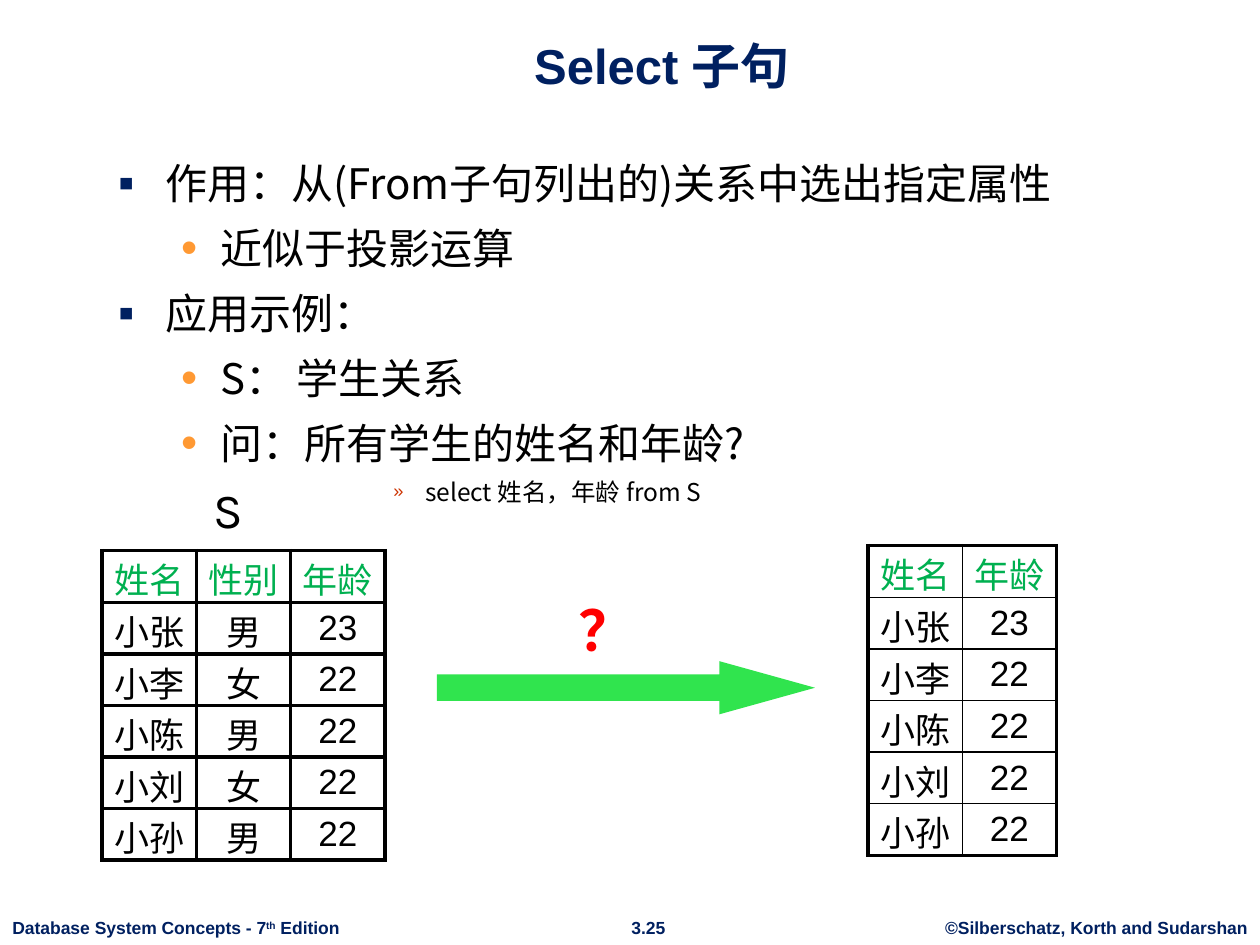
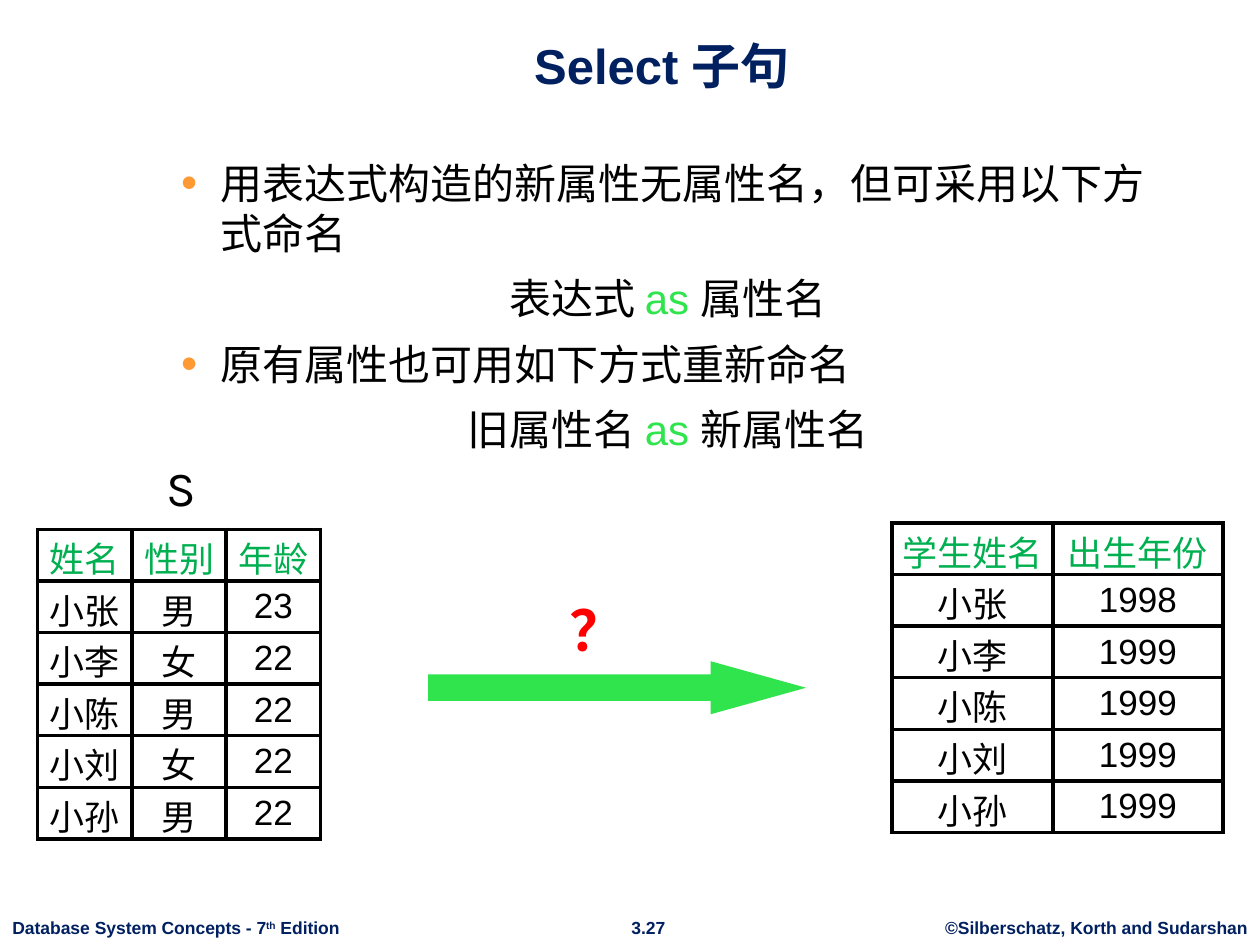
from lxml.etree import SubElement
from pptx import Presentation
from pptx.dml.color import RGBColor
from pptx.enum.shapes import MSO_SHAPE
from pptx.enum.text import MSO_ANCHOR, PP_ALIGN
from pptx.oxml.ns import qn
from pptx.util import Cm, Pt

COLORS = {
    "navy": "002060", "black": "000000", "white": "FFFFFF", "red": "FF0000",
    "header": "00B050", "lime": "30E44E", "orange": "FF9933", "rust": "CC3300",
}
CJK_FONT = "Noto Sans CJK SC"

# Outline levels: left margin and hanging indent in cm, bullet, colour, size in percent
LEVELS = {
    0: (0.95, 0.95, "▪", "navy", 110),
    1: (2.06, 0.79, "•", "orange", 110),
    5: (6.19, 0.64, "»", "rust", 75),
}
STUDENTS = [
    ("姓名", "性别", "年龄"),
    ("小张", "男", "23"),
    ("小李", "女", "22"),
    ("小陈", "男", "22"),
    ("小刘", "女", "22"),
    ("小孙", "男", "22"),
]
NAMES_AND_AGES = [(name, age) for name, _, age in STUDENTS]
BIRTH_YEARS = [("学生姓名", "出生年份")] + [
    (name, str(2021 - int(age))) for name, _, age in STUDENTS[1:]]


def rgb(color):
    return RGBColor.from_string(COLORS[color])


def format_run(run, size, color, font="Arial", bold=False):
    run.font.size = Pt(size)
    run.font.bold = bold
    run.font.color.rgb = rgb(color)
    run.font.name = font
    SubElement(run.font._element, qn("a:ea"), typeface=CJK_FONT)


def add_text(slide, box, pieces, size, color, font="Arial", bold=False,
             align=PP_ALIGN.LEFT, anchor=MSO_ANCHOR.TOP, wrap=False):
    """Add one paragraph made of pieces; return it."""
    shape = slide.shapes.add_textbox(*map(Cm, box))
    text_frame = shape.text_frame
    text_frame.word_wrap = wrap
    text_frame.vertical_anchor = anchor
    paragraph = text_frame.paragraphs[0]
    paragraph.alignment = align
    for piece in pieces:
        run = paragraph.add_run()
        run.text = piece
        format_run(run, size, color, font, bold)
    return paragraph


def add_frame(slide, number):
    """Title and footer shared by all slides."""
    add_text(slide, (2.13, 0.33, 22.43, 1.7), ["Select 子句"], 28, "navy", bold=True,
             align=PP_ALIGN.CENTER, anchor=MSO_ANCHOR.BOTTOM, wrap=True)
    footer = {"size": 10, "color": "navy", "bold": True}
    edition = add_text(slide, (0, 18.36, 7.14, 0.69),
                       ["Database System Concepts - 7", "th", " Edition"], **footer)
    edition.runs[1].font._element.set("baseline", "30000")
    add_text(slide, (12.45, 18.36, 1.24, 0.69), [number], align=PP_ALIGN.CENTER, **footer)
    add_text(slide, (18.8, 18.36, 6.6, 0.69), ["©Silberschatz, Korth and Sudarshan"],
             align=PP_ALIGN.CENTER, **footer)


def set_level(paragraph, level, bulleted):
    margin, hanging, character, color, percent = LEVELS[level]
    paragraph.level = level
    properties = paragraph._p.get_or_add_pPr()
    properties.set("marL", str(Cm(margin)))
    properties.set("indent", str(-Cm(hanging)))
    if not bulleted:
        SubElement(properties, qn("a:buNone"))
        return
    bullet_color = SubElement(properties, qn("a:buClr"))
    SubElement(bullet_color, qn("a:srgbClr"), val=COLORS[color])
    SubElement(properties, qn("a:buSzPct"), val=str(percent * 1000))
    SubElement(properties, qn("a:buFont"), typeface="Arial")
    SubElement(properties, qn("a:buChar"), char=character)


def add_outline(slide, items, font):
    """Items are (level, size, pieces); several pieces form a centred line with a keyword."""
    shape = slide.shapes.add_textbox(Cm(2.13), Cm(3.05), Cm(21.41), Cm(13.61))
    text_frame = shape.text_frame
    text_frame.word_wrap = True
    for index, (level, size, pieces) in enumerate(items):
        paragraph = text_frame.add_paragraph() if index else text_frame.paragraphs[0]
        is_syntax = len(pieces) > 1
        if is_syntax:
            paragraph.alignment = PP_ALIGN.CENTER
        if index:
            paragraph.space_before = Pt(0.35 * size)
        set_level(paragraph, level, not is_syntax)
        for piece in pieces:
            run = paragraph.add_run()
            run.text = piece
            format_run(run, size, "lime" if piece == "as " else "black", font)


def set_borders(cell, widths):
    properties = cell._tc.get_or_add_tcPr()
    for index, (side, width) in enumerate(widths.items()):
        line = properties.makeelement(qn(f"a:ln{side}"), {"w": str(Pt(width))})
        fill = SubElement(line, qn("a:solidFill"))
        SubElement(fill, qn("a:srgbClr"), val=COLORS["black"])
        properties.insert(index, line)


def add_relation(slide, left, top, rows, column_widths, padding=0, inner=2.25, outer=2.25):
    """Relation table with a green header row."""
    row_height = 1.04
    last_row, last_column = len(rows) - 1, len(column_widths) - 1
    frame = slide.shapes.add_table(len(rows), len(column_widths), Cm(left), Cm(top),
                                   Cm(sum(column_widths)), Cm(row_height * len(rows)))
    table = frame.table
    for column, width in zip(table.columns, column_widths):
        column.width = Cm(width)
    for r, values in enumerate(rows):
        table.rows[r].height = Cm(row_height)
        for c, value in enumerate(values):
            cell = table.cell(r, c)
            cell.fill.solid()
            cell.fill.fore_color.rgb = rgb("white")
            cell.margin_left = cell.margin_right = Cm(padding)
            cell.margin_top = cell.margin_bottom = Cm(0.05)
            cell.vertical_anchor = MSO_ANCHOR.MIDDLE
            paragraph = cell.text_frame.paragraphs[0]
            paragraph.text = value
            paragraph.alignment = PP_ALIGN.CENTER
            format_run(paragraph.runs[0], 20, "black" if r else "header")
            at_edge = {"L": c == 0, "R": c == last_column, "T": r == 0, "B": r == last_row}
            set_borders(cell, {side: outer if edge else inner
                               for side, edge in at_edge.items()})


def add_query_arrow(slide, left, top):
    """Green arrow with a question mark above it."""
    arrow = slide.shapes.add_shape(MSO_SHAPE.RIGHT_ARROW, Cm(left), Cm(top + 1.65),
                                   Cm(7.62), Cm(1.07))
    arrow.adjustments[0] = 0.5
    arrow.adjustments[1] = 1.8
    arrow.shadow.inherit = False
    arrow.fill.solid()
    arrow.fill.fore_color.rgb = rgb("lime")
    arrow.line.fill.background()
    mark = add_text(slide, (left + 2.59, top, 1.65, 1.65), ["？"], 32, "red", "Karla",
                    bold=True, align=PP_ALIGN.CENTER)
    mark.line_spacing = 1.15


def add_relation_name(slide, left, top):
    add_text(slide, (left, top, 1.07, 1.45), ["S"], 28, "black", "Karla")


def build_projection_slide(slide):
    add_frame(slide, "3.25")
    add_outline(slide, [
        (0, 24, ["作用：从(From子句列出的)关系中选出指定属性"]),
        (1, 24, ["近似于投影运算"]),
        (0, 24, ["应用示例："]),
        (1, 24, ["S： 学生关系"]),
        (1, 24, ["问：所有学生的姓名和年龄?"]),
        (5, 14, ["select 姓名，年龄 from S"]),
    ], CJK_FONT)
    add_relation(slide, 2.06, 11.1, STUDENTS, [1.9] * 3, padding=0.1)
    add_relation(slide, 17.5, 11, NAMES_AND_AGES, [1.9] * 2, padding=0.1, inner=1)
    add_relation_name(slide, 4.06, 9.55)
    add_query_arrow(slide, 8.81, 11.68)


def build_renaming_slide(slide):
    add_frame(slide, "3.27")
    add_outline(slide, [
        (1, 24, ["用表达式构造的新属性无属性名，但可采用以下方式命名"]),
        (1, 24, ["表达式 ", "as ", "属性名"]),
        (1, 24, ["原有属性也可用如下方式重新命名"]),
        (1, 24, ["旧属性名 ", "as ", "新属性名"]),
    ], "Arial")
    add_relation(slide, 0.76, 10.67, STUDENTS, [1.9] * 3)
    add_relation(slide, 17.98, 10.54, BIRTH_YEARS, [3.25, 3.42])
    add_relation_name(slide, 3.1, 9.09)
    add_query_arrow(slide, 8.63, 11.68)


def main():
    presentation = Presentation()
    presentation.slide_width = Cm(25.4)
    presentation.slide_height = Cm(19.05)
    for build in (build_projection_slide, build_renaming_slide):
        build(presentation.slides.add_slide(presentation.slide_layouts[6]))
    presentation.save("out.pptx")


if __name__ == "__main__":
    main()
